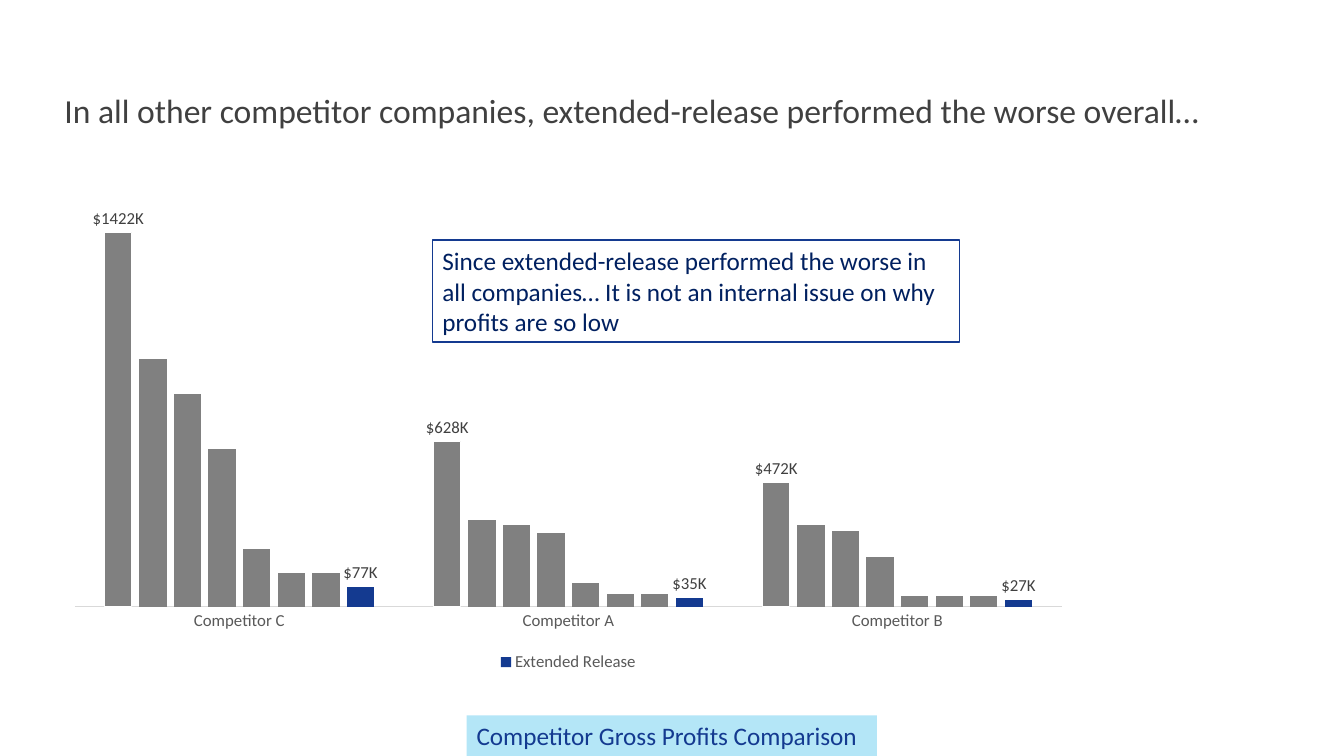
"""Build the slide on competitor gross profits by product."""
import pptx
import pptx.chart.data
import pptx.dml.color
import pptx.enum.chart
import pptx.enum.shapes
import pptx.enum.text
import pptx.oxml
import pptx.oxml.ns
import pptx.util

Cm, Pt = pptx.util.Cm, pptx.util.Pt
FONT = "Calibri"
HEX = {"title": "404040", "blue": "143A90", "navy": "002060", "sky": "18B2E8",
       "bar": "808080", "text": "595959", "axis": "D9D9D9", "white": "FFFFFF"}

TITLE = "In all other competitor companies, extended-release performed the worse overall…"
NOTE = ("Since extended-release performed the worse in all companies… "
        "It is not an internal issue on why profits are so low")
LABEL = "Competitor Gross Profits Comparison"
FIRMS = ["Competitor C", "Competitor A", "Competitor B"]
OTHERS = [
    (1422000, 628000, 472000),
    (940000, 330000, 310000),
    (810000, 310000, 290000),
    (600000, 280000, 190000),
    (220000, 90000, 40000),
    (130000, 50000, 40000),
    (130000, 50000, 40000),
]
LAST = ("Extended Release", (77000, 35000, 27000))
BOX = {"title": (1.37, 2.13, 31.12, 1.27), "chart": (1.37, 4.42, 25.91, 12.62),
       "note": (10.9, 6.05, 13.28, 2.57), "label": (11.76, 18.03, 10.34, 1.02)}


def tint(name):
    """Return a named colour."""
    return pptx.dml.color.RGBColor.from_string(HEX[name])


def style(font, size, name):
    """Format a font."""
    font.name, font.size, font.bold = FONT, Pt(size), False
    font.color.rgb = tint(name)


def place(name):
    """Return a box as four lengths."""
    return [Cm(side) for side in BOX[name]]


def write(shape, text, size, name):
    """Put left-aligned text in the middle of a shape."""
    frame = shape.text_frame
    frame.text = text
    frame.word_wrap = True
    frame.auto_size = pptx.enum.text.MSO_AUTO_SIZE.NONE
    frame.vertical_anchor = pptx.enum.text.MSO_ANCHOR.MIDDLE
    para = frame.paragraphs[0]
    para.alignment = pptx.enum.text.PP_ALIGN.LEFT
    style(para.runs[0].font, size, name)


def add_box(slide, name, text, color):
    """Add a plain rectangle with text."""
    kind = pptx.enum.shapes.MSO_SHAPE.RECTANGLE
    box = slide.shapes.add_shape(kind, *place(name))
    box.shadow.inherit = False
    box.fill.background()
    box.line.fill.background()
    write(box, text, 18, color)
    return box


def add_bars(slide):
    """Add the column chart."""
    enum = pptx.enum.chart
    data = pptx.chart.data.CategoryChartData()
    data.categories = FIRMS
    for num, vals in enumerate(OTHERS, 1):
        data.add_series(f"Series {num}", vals)
    data.add_series(*LAST)
    kind = enum.XL_CHART_TYPE.COLUMN_CLUSTERED
    chart = slide.shapes.add_chart(kind, *place("chart"), data).chart
    chart.has_title = False
    style(chart.font, 12, "text")

    plot = chart.plots[0]
    plot.gap_width, plot.overlap, plot.vary_by_categories = 219, -27, False
    end = len(OTHERS)
    for num, bars in enumerate(plot.series):
        bars.invert_if_negative = False
        bars.format.fill.solid()
        bars.format.fill.fore_color.rgb = tint("blue" if num == end else "bar")
        if num in (0, end):
            tags = bars.data_labels
            tags.show_value = True
            tags.position = enum.XL_LABEL_POSITION.OUTSIDE_END
            tags.number_format = '"$"#,\\K'
            tags.number_format_is_linked = False
            style(tags.font, 12, "title")
    edge = plot.series[0].format.line
    edge.color.rgb, edge.width = tint("white"), Pt(0.75)

    base = chart.category_axis
    base.major_tick_mark = enum.XL_TICK_MARK.NONE
    base.format.line.color.rgb = tint("axis")
    base.format.line.width = Pt(0.75)
    style(base.tick_labels.font, 12, "text")
    side = chart.value_axis
    side.has_major_gridlines = False
    side.minimum_scale, side.maximum_scale = 0, 1600000
    side.visible = False

    chart.has_legend = True
    key = chart.legend
    key.position = enum.XL_LEGEND_POSITION.BOTTOM
    key.include_in_layout = False
    style(key.font, 12, "text")
    space = pptx.oxml.ns.nsdecls("c")
    root = chart.element.find(".//" + pptx.oxml.ns.qn("c:legend"))
    for num in range(end):
        root.insert(num + 1, pptx.oxml.parse_xml(
            f'<c:legendEntry {space}><c:idx val="{num}"/>'
            '<c:delete val="1"/></c:legendEntry>'))


def main():
    """Build and save the slide."""
    deck = pptx.Presentation()
    deck.slide_width, deck.slide_height = Cm(33.87), Cm(19.05)
    slide = deck.slides.add_slide(deck.slide_layouts[5])
    title = slide.shapes.title
    title.left, title.top, title.width, title.height = place("title")
    write(title, TITLE, 24, "title")

    label = add_box(slide, "label", LABEL, "blue")
    label.fill.solid()
    label.fill.fore_color.rgb = tint("sky")
    shade = label.element.spPr.find(".//" + pptx.oxml.ns.qn("a:srgbClr"))
    space = pptx.oxml.ns.nsdecls("a")
    shade.append(pptx.oxml.parse_xml(f'<a:alpha {space} val="32000"/>'))

    add_bars(slide)
    note = add_box(slide, "note", NOTE, "navy")
    note.line.color.rgb, note.line.width = tint("blue"), Pt(1.25)
    deck.save("out.pptx")


if __name__ == "__main__":
    main()
